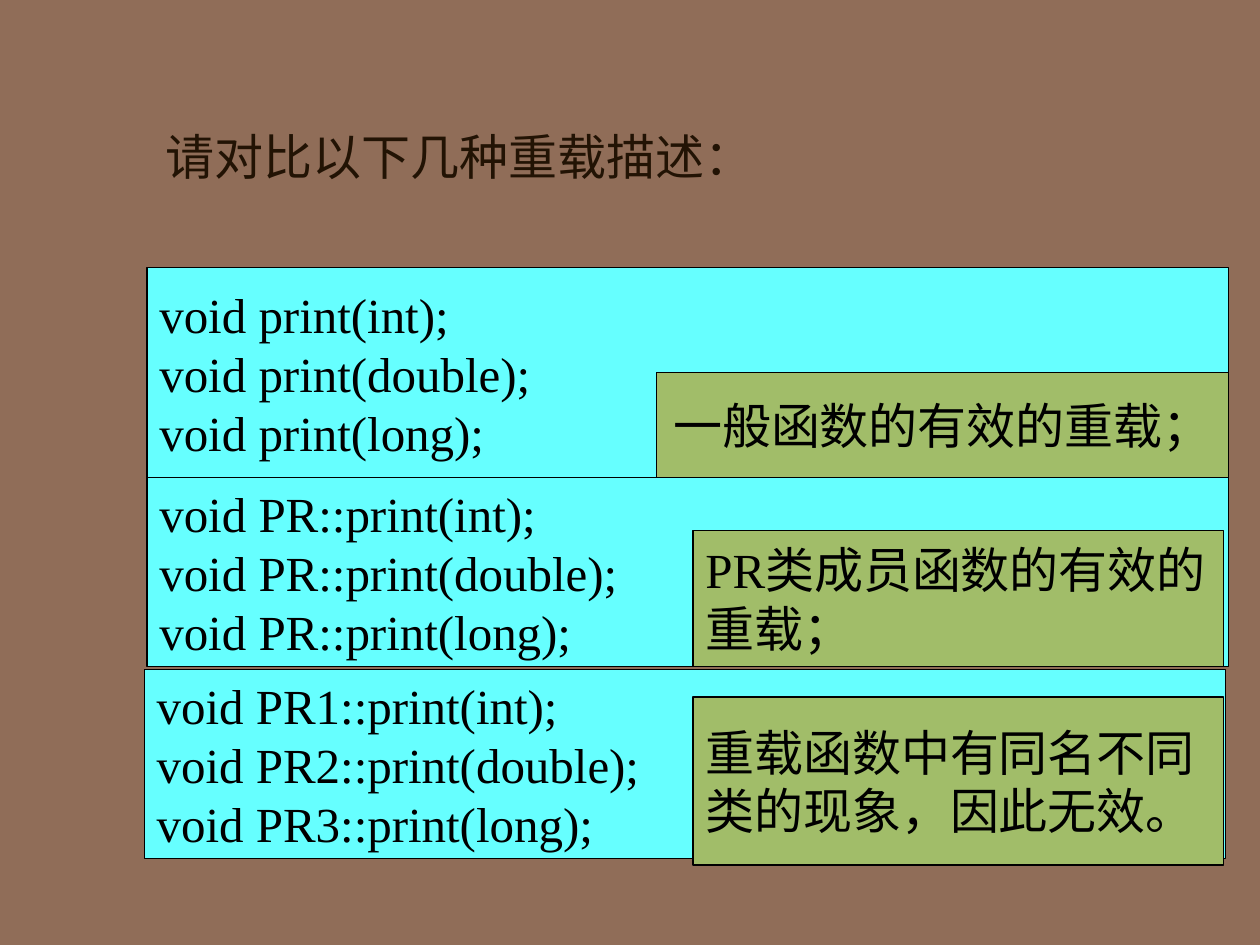
from pptx import Presentation
from pptx.dml.color import RGBColor
from pptx.enum.shapes import MSO_SHAPE
from pptx.enum.text import MSO_ANCHOR, PP_ALIGN
from pptx.util import Inches, Pt

BROWN = RGBColor(0x90, 0x6D, 0x58)
DARK = RGBColor(0x22, 0x13, 0x04)
BLACK = RGBColor(0, 0, 0)
CYAN = RGBColor(0x66, 0xFF, 0xFF)
GREEN = RGBColor(0xA1, 0xBD, 0x69)

deck = Presentation()
deck.slide_width = Inches(10)
deck.slide_height = Inches(7.5)
COL = deck.slide_width / 240
ROW = deck.slide_height / 180

slide = deck.slides.add_slide(deck.slide_layouts[6])
slide.background.fill.solid()
slide.background.fill.fore_color.rgb = BROWN


def place(col, row, wide, high):
    return [round(n) for n in (col * COL, row * ROW, wide * COL, high * ROW)]


def write(shape, text, color, align=PP_ALIGN.LEFT, wrap=False):
    frame = shape.text_frame
    frame.text = text
    frame.word_wrap = wrap
    frame.vertical_anchor = MSO_ANCHOR.MIDDLE
    for line in frame.paragraphs:
        line.alignment = align
        for run in line.runs:
            run.font.name = "Times New Roman"
            run.font.size = Pt(28)
            run.font.color.rgb = color


title = slide.shapes.add_textbox(*place(29.25, 23.75, 202.5, 12))
write(title, "请对比以下几种重载描述：", DARK, wrap=True)

PAIRS = [
    ((28, 51, 206, 40), ("", "", ""),
     (125, 71, 109, 20), "一般函数的有效的重载；", PP_ALIGN.CENTER),
    ((28, 91, 206, 36), ("PR::", "PR::", "PR::"),
     (132, 101, 101, 26), "PR类成员函数的有效的\n重载；", PP_ALIGN.LEFT),
    ((27.5, 127.5, 206, 36), ("PR1::", "PR2::", "PR3::"),
     (132, 132.75, 101, 32), "重载函数中有同名不同\n类的现象，因此无效。", PP_ALIGN.LEFT),
]
KINDS = ("int", "double", "long")

for panel, scopes, label, note, align in PAIRS:
    code = "\n".join(f"void {scope}print({kind});" for scope, kind in zip(scopes, KINDS))
    for area, text, fill, side in (
        (panel, code, CYAN, PP_ALIGN.LEFT),
        (label, note, GREEN, align),
    ):
        box = slide.shapes.add_shape(MSO_SHAPE.RECTANGLE, *place(*area))
        box.shadow.inherit = False
        box.fill.solid()
        box.fill.fore_color.rgb = fill
        box.line.color.rgb = BLACK
        box.line.width = Pt(0.75)
        write(box, text, BLACK, side)

deck.save("out.pptx")
